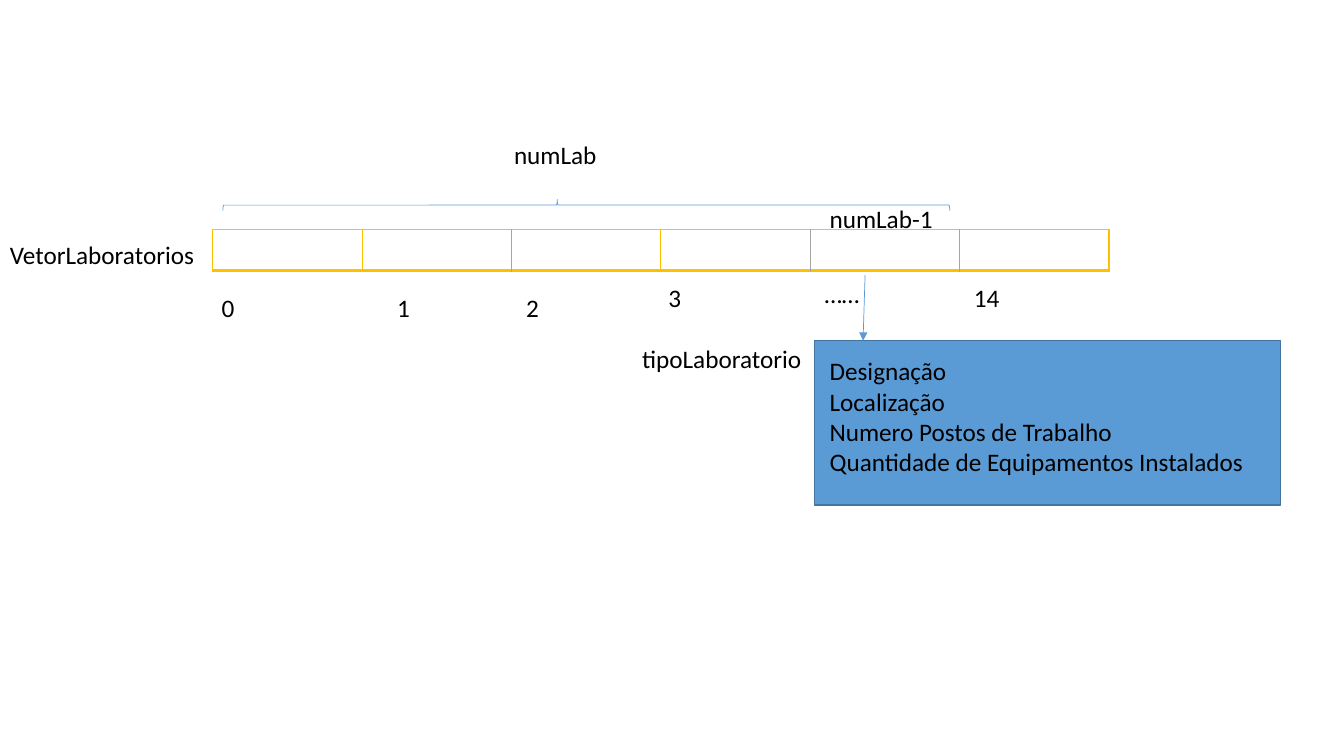
from lxml import etree
from pptx import Presentation
from pptx.dml.color import RGBColor
from pptx.enum.shapes import MSO_CONNECTOR, MSO_SHAPE
from pptx.enum.text import MSO_AUTO_SIZE
from pptx.oxml.ns import qn
from pptx.util import Inches, Pt

RECT, BRACE = MSO_SHAPE.RECTANGLE, MSO_SHAPE.LEFT_BRACE
STRAIGHT = MSO_CONNECTOR.STRAIGHT
GROW = MSO_AUTO_SIZE.SHAPE_TO_FIT_TEXT
BLACK = RGBColor(0x00, 0x00, 0x00)
BLUE = RGBColor(0x5B, 0x9B, 0xD5)
DARK_BLUE = RGBColor(0x43, 0x73, 0x9E)
GOLD = RGBColor(0xFF, 0xC0, 0x00)
GREY = RGBColor(0xA5, 0xA5, 0xA5)


class Diagram:
    font = {"name": "Calibri", "size": Pt(18)}

    def __init__(self, slide):
        self.shapes = slide.shapes

    def text(self, x, y, w, *lines, h=0.4):
        tf = self.shapes.add_textbox(*map(Inches, (x, y, w, h))).text_frame
        for name, value in {"word_wrap": True, "auto_size": GROW}.items():
            setattr(tf, name, value)
        for i, line in enumerate(lines):
            p = tf.add_paragraph() if i else tf.paragraphs[0]
            r = p.add_run()
            r.text = line
            for name, value in self.font.items():
                setattr(r.font, name, value)
            r.font.color.rgb = BLACK

    def stroke(self, line, color, width):
        line.color.rgb = color
        line.width = Pt(width)

    def shape(self, kind, x, y, w, h, color, width, fill=None, rotation=0, adjust=()):
        sp = self.shapes.add_shape(kind, *map(Inches, (x, y, w, h)))
        sp.shadow.inherit = False
        sp.rotation = rotation
        for i, value in enumerate(adjust):
            sp.adjustments[i] = value
        if fill is None:
            sp.fill.background()
        else:
            sp.fill.solid()
            sp.fill.fore_color.rgb = fill
        self.stroke(sp.line, color, width)

    def arrow(self, x1, y1, x2, y2, color, width):
        cxn = self.shapes.add_connector(STRAIGHT, *map(Inches, (x1, y1, x2, y2)))
        self.stroke(cxn.line, color, width)
        ln = cxn.line._get_or_add_ln()
        etree.SubElement(ln, qn("a:tailEnd"), type="triangle")
        etree.SubElement(cxn._element.spPr, qn("a:effectLst"))

    def border(self, cell, side, color, width):
        tc_pr = cell._tc.get_or_add_tcPr()
        ln = etree.SubElement(tc_pr, qn(f"a:ln{side}"), w=str(Pt(width)))
        fill = etree.SubElement(ln, qn("a:solidFill"))
        etree.SubElement(fill, qn("a:srgbClr"), val=str(color))

    def vector(self, x, y, w, h, edges):
        count = len(edges) - 1
        table = self.shapes.add_table(1, count, *map(Inches, (x, y, w, h))).table
        for name in ("first_row", "horz_banding"):
            setattr(table, name, False)
        for i in range(count):
            cell = table.cell(0, i)
            self.border(cell, "L", *edges[i])
            self.border(cell, "R", *edges[i + 1])
            self.border(cell, "T", GOLD, 1)
            self.border(cell, "B", GOLD, 2)
            cell.fill.background()


prs = Presentation()
prs.slide_width, prs.slide_height = Inches(13.33), Inches(7.5)
d = Diagram(prs.slides.add_slide(prs.slide_layouts[6]))

gold_edge, grey_edge = (GOLD, 1), (GREY, 0.5)
d.vector(2.11, 2.28, 8.89, 0.4,
         [gold_edge, gold_edge, grey_edge, gold_edge, grey_edge, grey_edge, gold_edge])
d.text(0, 2.33, 2.1, "VetorLaboratorios")
d.text(8.13, 1.97, 1.34, "numLab-1")
d.arrow(8.58, 2.73, 8.56, 3.38, BLUE, 0.5)
d.shape(RECT, 8.08, 3.38, 4.62, 1.63, DARK_BLUE, 1, fill=BLUE)
d.text(8.13, 3.48, 4.89, "Designação", "Localização", "Numero Postos de Trabalho",
       "Quantidade de Equipamentos Instalados", h=1.31)

for x, y, index in [(2.1, 2.85, "0"), (3.84, 2.85, "1"), (5.12, 2.85, "2"),
                    (6.53, 2.75, "3"), (8.08, 2.71, "……"), (9.56, 2.75, "14")]:
    d.text(x, y, 1.49, index)

d.shape(BRACE, 5.76, -1.57, 0.11, 7.21, BLUE, 0.5, rotation=90, adjust=(0.08, 0.54))
d.text(6.27, 3.36, 2.01, "tipoLaboratorio")
d.text(5, 1.33, 2.27, "numLab")

prs.save("out.pptx")
